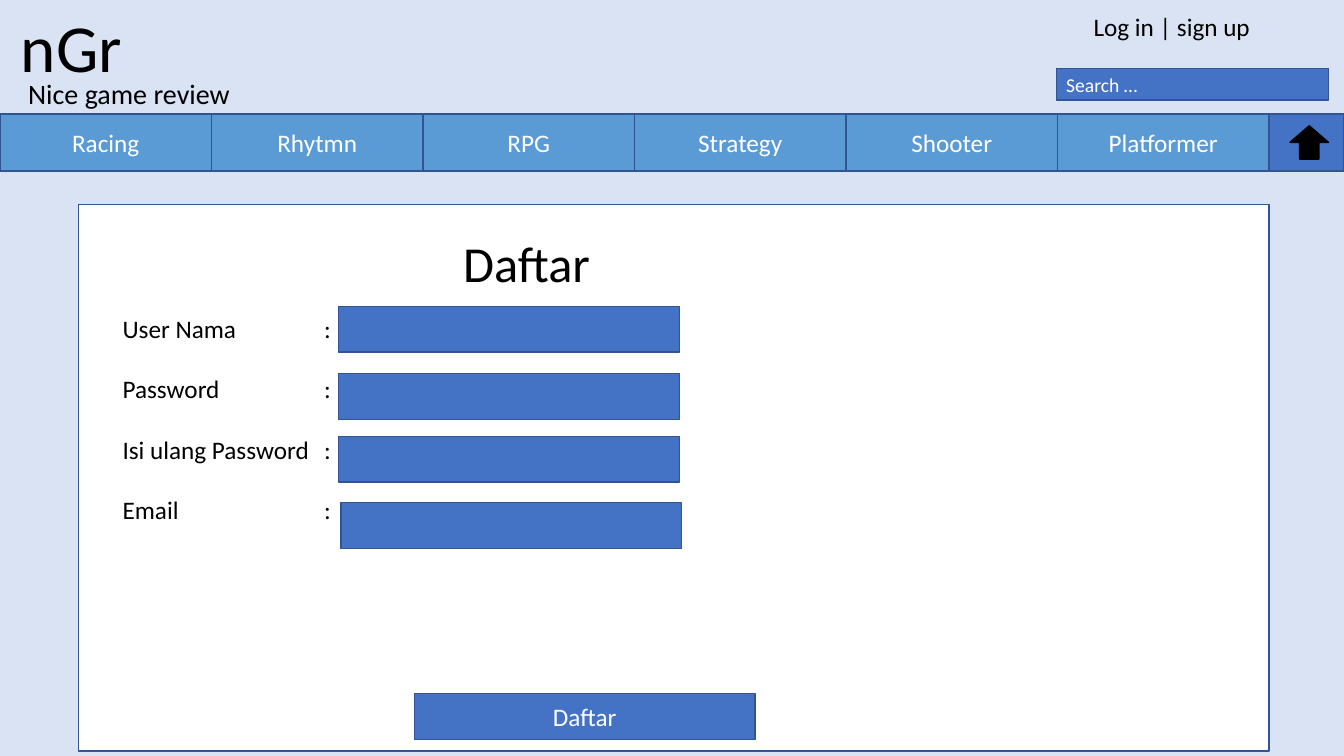
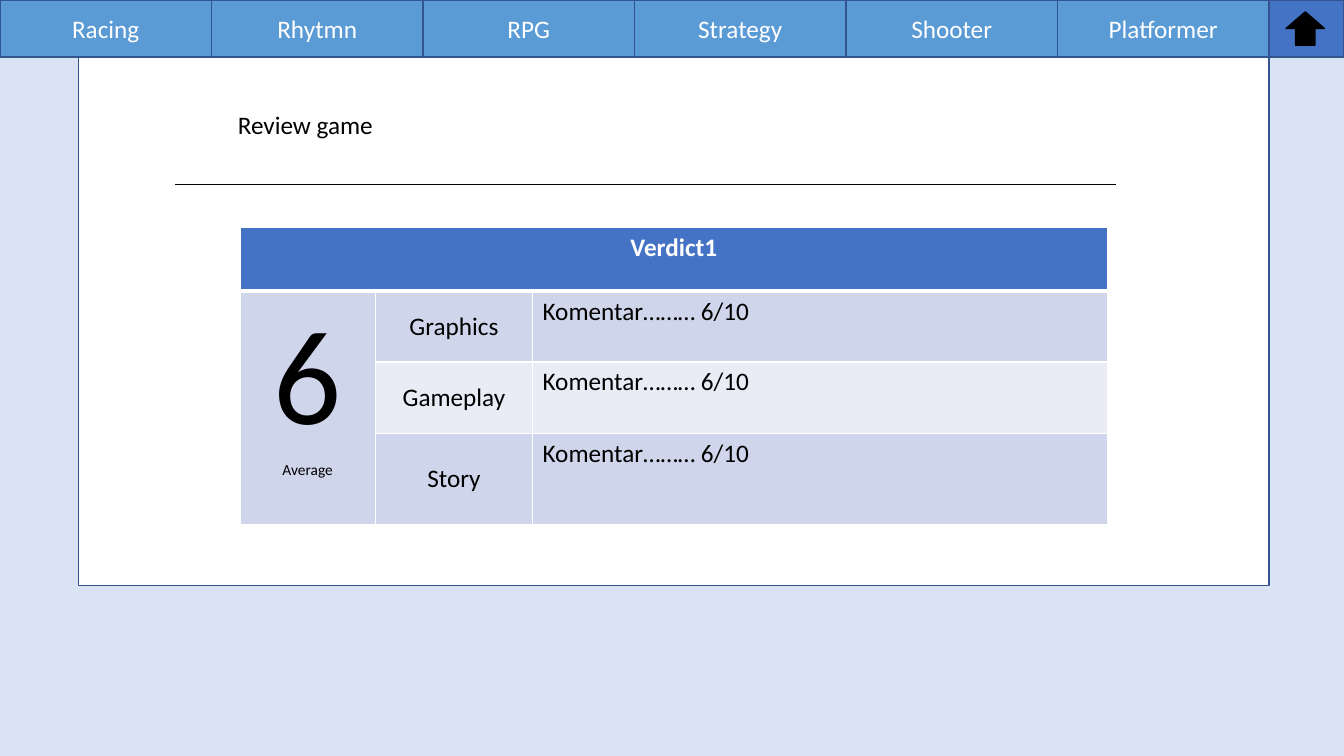
from lxml.etree import SubElement
from pptx import Presentation
from pptx.dml.color import RGBColor
from pptx.enum.shapes import MSO_CONNECTOR, MSO_SHAPE
from pptx.enum.text import MSO_ANCHOR, MSO_AUTO_SIZE, PP_ALIGN
from pptx.oxml import parse_xml
from pptx.oxml.ns import nsdecls, qn
from pptx.util import Cm, Pt

COLORS = {
    "page": "DAE3F3", "panel": "FFFFFF", "outline": "325491",
    "blue": "4472C4", "nav": "5B9BD5", "black": "000000",
    "white": "FFFFFF", "band_dark": "CFD5EA", "band_light": "E9EBF5",
}
FONT = "Calibri"
WIDTH, HEIGHT = 33.87, 19.05
GENRES = ["Racing", "Rhytmn", "RPG", "Strategy", "Shooter", "Platformer"]
NAV_WIDTH, NAV_HEIGHT = 5.33, 1.44
FIELD_SIZE = (8.59, 1.15)


def rgb(name):
    return RGBColor.from_string(COLORS[name])


class Deck:
    """Holds the shared style and the slide being filled."""

    def __init__(self):
        self.prs = Presentation()
        self.prs.slide_width, self.prs.slide_height = Cm(WIDTH), Cm(HEIGHT)
        fill = self.prs.slide_master.background.fill
        fill.solid()
        fill.fore_color.rgb = rgb("page")

    def new_slide(self):
        self.slide = self.prs.slides.add_slide(self.prs.slide_layouts[5])

    def add_text(self, p, text, size=18, color="black", align=PP_ALIGN.LEFT, bold=False):
        p.alignment = align
        r = p.add_run()
        r.text = text
        for name, value in {"name": FONT, "size": Pt(size), "bold": bold}.items():
            setattr(r.font, name, value)
        r.font.color.rgb = rgb(color)

    def title(self, text, left, top, width, height, **style):
        """Format the title placeholder and bring it in front of the panel."""
        sp = self.slide.shapes.title
        for name, value in {"left": left, "top": top, "width": width, "height": height}.items():
            setattr(sp, name, Cm(value))
        tf = sp.text_frame
        tf.auto_size, tf.vertical_anchor = MSO_AUTO_SIZE.NONE, MSO_ANCHOR.TOP
        self.add_text(tf.paragraphs[0], text, **style)
        sp.element.getparent().append(sp.element)

    def text(self, text, left, top, width, height, **style):
        sp = self.slide.shapes.add_textbox(Cm(left), Cm(top), Cm(width), Cm(height))
        tf = sp.text_frame
        tf.word_wrap = True
        self.add_text(tf.paragraphs[0], text, **style)

    def labels(self, names, left, top, width, height, tab, gap):
        """One label a line, each with a colon at the tab stop."""
        sp = self.slide.shapes.add_textbox(Cm(left), Cm(top), Cm(width), Cm(height))
        tf = sp.text_frame
        tf.word_wrap = True
        for i, name in enumerate(names):
            p = tf.add_paragraph() if i else tf.paragraphs[0]
            self.add_text(p, f"{name}\t:")
            p.space_after = Pt(gap)
            tabs = SubElement(p._p.get_or_add_pPr(), qn("a:tabLst"))
            SubElement(tabs, qn("a:tab"), pos=str(Cm(tab)), algn="l")

    def box(self, left, top, width, height, text="", fill="blue", line="outline",
            kind=MSO_SHAPE.RECTANGLE, align=PP_ALIGN.CENTER, size=18):
        sp = self.slide.shapes.add_shape(kind, Cm(left), Cm(top), Cm(width), Cm(height))
        sp.shadow.inherit = False
        sp.fill.solid()
        sp.fill.fore_color.rgb = rgb(fill)
        sp.line.color.rgb = rgb(line)
        sp.line.width = Pt(1)
        if text:
            sp.text_frame.vertical_anchor = MSO_ANCHOR.MIDDLE
            self.add_text(sp.text_frame.paragraphs[0], text, size, "white", align)

    def panel(self, top, height):
        self.box(1.98, top, 30, height, fill="panel")

    def nav_bar(self, top, arrow_left):
        self.box(0, top, WIDTH, NAV_HEIGHT)
        for i, genre in enumerate(GENRES):
            self.box(i * NAV_WIDTH, top, NAV_WIDTH, NAV_HEIGHT, genre, fill="nav")
        self.box(arrow_left, top + 0.3, 0.97, 0.84, fill="black", line="black",
                 kind=MSO_SHAPE.UP_ARROW)

    def rule(self, left, right, y):
        line = self.slide.shapes.add_connector(
            MSO_CONNECTOR.STRAIGHT, Cm(left), Cm(y), Cm(right), Cm(y))
        line.line.color.rgb = rgb("black")
        line.line.width = Pt(0.75)
        SubElement(line._element.spPr, qn("a:effectLst"))

    def cell(self, cell, lines, fill, borders, anchor=MSO_ANCHOR.TOP):
        """Fill a cell; lines are (text, style) pairs, borders are L, R, T, B points."""
        cell.fill.solid()
        cell.fill.fore_color.rgb = rgb(fill)
        cell.vertical_anchor = anchor
        tf = cell.text_frame
        for i, (text, style) in enumerate(lines):
            p = tf.add_paragraph() if i else tf.paragraphs[0]
            self.add_text(p, text, **style)
        tc_pr = cell._tc.get_or_add_tcPr()
        for i, (side, width) in enumerate(zip("LRTB", borders)):
            tc_pr.insert(i, parse_xml(
                f'<a:ln{side} {nsdecls("a")} w="{Pt(width)}"><a:solidFill>'
                f'<a:srgbClr val="{COLORS["white"]}"/></a:solidFill></a:ln{side}>'))

    def verdict_table(self, heading, score, caption, ratings, left, top, widths, heights):
        table = self.slide.shapes.add_table(
            len(heights), len(widths), Cm(left), Cm(top),
            Cm(sum(widths)), Cm(sum(heights))).table
        for column, width in zip(table.columns, widths):
            column.width = Cm(width)
        for row, height in zip(table.rows, heights):
            row.height = Cm(height)
        table.cell(0, 0).merge(table.cell(0, 2))
        table.cell(1, 0).merge(table.cell(3, 0))
        centred = {"align": PP_ALIGN.CENTER}
        title = [(heading, {"color": "white", "bold": True, **centred})]
        average = [(score, {"size": 96, **centred}), (caption, {"size": 11, **centred})]
        for col in range(3):
            self.cell(table.cell(0, col), [] if col else title, "blue", (1, 1, 1, 3))
        for row, (aspect, comment) in enumerate(ratings, 1):
            band = "band_dark" if row % 2 else "band_light"
            borders = (1, 1, 3 if row == 1 else 1, 1)
            self.cell(table.cell(row, 0), average if row == 1 else [], "band_dark", borders)
            self.cell(table.cell(row, 1), [(aspect, centred)], band, borders,
                      MSO_ANCHOR.MIDDLE)
            self.cell(table.cell(row, 2), [(comment, {})], band, borders)


def sign_up_slide(deck):
    deck.new_slide()
    deck.panel(5.16, 13.77)
    deck.text("nGr", 0.28, 0, 14.4, 2.31, size=48)
    deck.text("Nice game review", 0.46, 1.8, 14.4, 1.12, size=20)
    deck.nav_bar(2.87, 32.51)
    deck.text("Log in | sign up", 27.31, 0.15, 6.5, 1.02)
    deck.box(26.62, 1.73, 6.86, 0.79, "Search …", align=PP_ALIGN.LEFT, size=14)
    deck.title("Daftar", 6.63, 5.72, 13.28, 1.8, size=36, align=PP_ALIGN.CENTER)
    deck.labels(["User Nama", "Password", "Isi ulang Password", "Email"],
                2.84, 7.77, 6.78, 6.5, tab=5.08, gap=21.6)
    for left, top in [(8.53, 7.72), (8.53, 9.42), (8.53, 11), (8.59, 12.67)]:
        deck.box(left, top, *FIELD_SIZE)
    deck.box(10.44, 17.48, *FIELD_SIZE, "Daftar")


def review_slide(deck):
    deck.new_slide()
    deck.panel(0, 14.76)
    deck.nav_bar(0, 32.41)
    deck.title("Review game", 5.74, 2.62, 21.74, 1.1)
    deck.rule(4.42, 28.12, 4.65)
    aspects = ["Graphics", "Gameplay", "Story"]
    deck.verdict_table("Verdict1", "6", "Average",
                       [(aspect, "Komentar……… 6/10") for aspect in aspects],
                       6.05, 5.74, [3.41, 3.96, 14.49], [1.6, 1.78, 1.8, 2.3])


def main():
    deck = Deck()
    sign_up_slide(deck)
    review_slide(deck)
    deck.prs.save("out.pptx")


if __name__ == "__main__":
    main()
